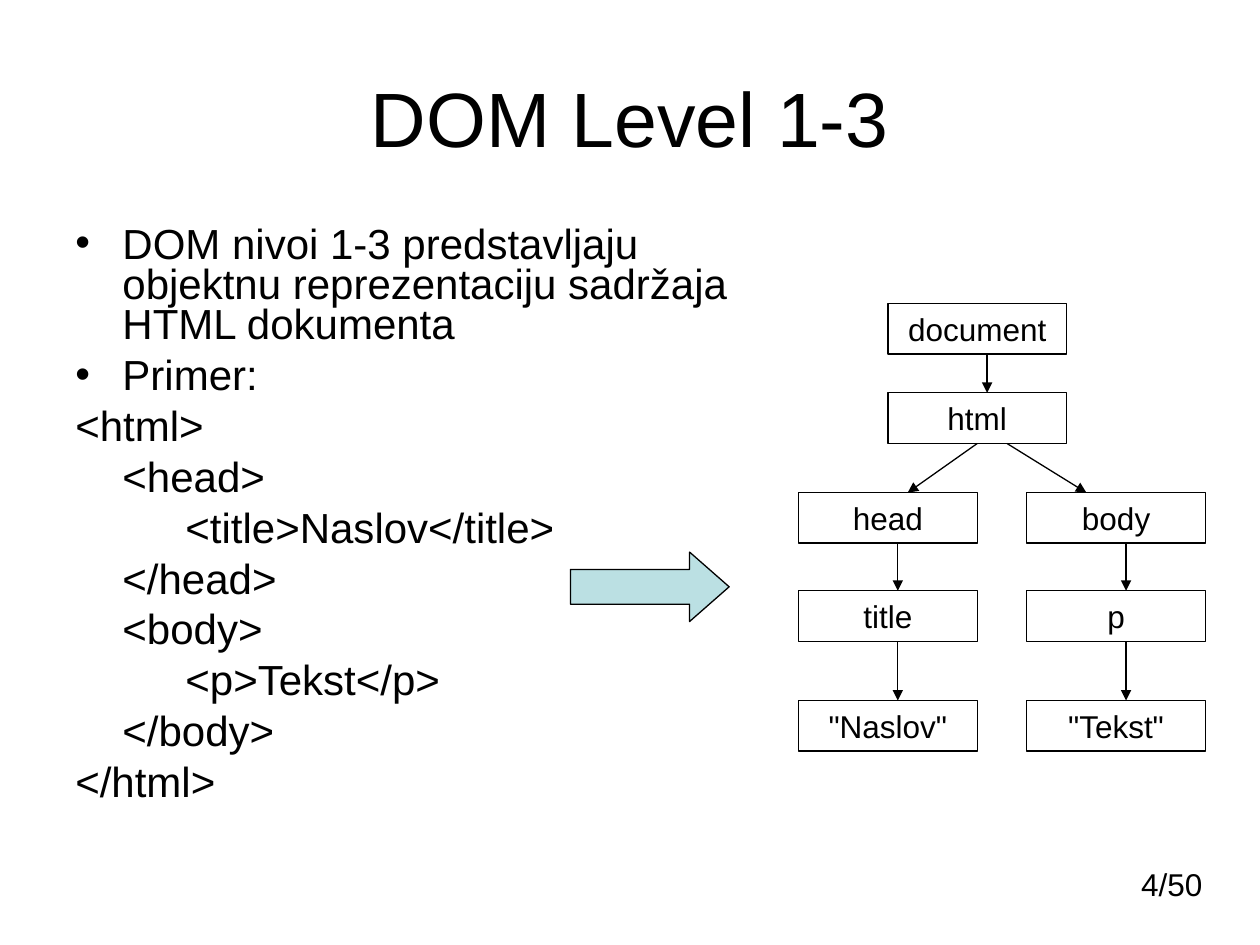
import pptx
import pptx.util
import pptx.dml.color
import pptx.enum.shapes
import pptx.enum.text
import pptx.oxml.ns
import lxml.etree

Cm, Pt = pptx.util.Cm, pptx.util.Pt
RGBColor = pptx.dml.color.RGBColor
PRESETS = pptx.enum.shapes.MSO_SHAPE
ALIGN = pptx.enum.text.PP_ALIGN
ANCHOR = pptx.enum.text.MSO_ANCHOR
GROW = pptx.enum.text.MSO_AUTO_SIZE.SHAPE_TO_FIT_TEXT

BLACK = RGBColor(0x00, 0x00, 0x00)
PALE_TEAL = RGBColor(0xBB, 0xE0, 0xE3)
FONT = "Arial"

TITLE = "DOM Level 1-3"
PAGE_NUMBER = "4/50"
BULLETS = [
    "DOM nivoi 1-3 predstavljaju objektnu reprezentaciju sadržaja HTML dokumenta",
    "Primer:",
]
CODE = [
    "<html>",
    "\t<head>",
    "\t\t<title>Naslov</title>",
    "\t</head>",
    "\t<body>",
    "\t\t<p>Tekst</p>",
    "\t</body>",
    "</html>",
]

# Tree geometry in cm
NODE_WIDTH, NODE_HEIGHT = 3.6, 1.02
LEFT, MIDDLE, RIGHT = 17.9, 19.7, 22.5  # column centres
ROW_TOPS = [6.12, 7.92, 9.93, 11.91, 14.12]
NODES = {  # label: (column centre, row)
    "document": (MIDDLE, 0),
    "html": (MIDDLE, 1),
    "head": (LEFT, 2),
    "body": (RIGHT, 2),
    "title": (LEFT, 3),
    '"Naslov"': (LEFT, 4),
    "p": (RIGHT, 3),
    '"Tekst"': (RIGHT, 4),
}
EDGES = [  # parent, child, offsets of both ends from the node centres
    ("document", "html", 0.2, 0.2),
    ("html", "head", 0, 0.4),
    ("html", "body", 0.6, -0.6),
    ("head", "title", 0.2, 0.2),
    ("body", "p", 0.2, 0.2),
    ("title", '"Naslov"', 0.2, 0.2),
    ("p", '"Tekst"', 0.2, 0.2),
]


def add_child(parent, tag, **attributes):
    return lxml.etree.SubElement(parent, pptx.oxml.ns.qn(tag), attributes)


def write(frame, lines, size, align=ALIGN.LEFT, anchor=ANCHOR.TOP):
    frame.word_wrap = True
    frame.vertical_anchor = anchor
    frame.text = "\n".join(lines)
    for paragraph in frame.paragraphs:
        paragraph.alignment = align
        for run in paragraph.runs:
            run.font.name = FONT
            run.font.size = Pt(size)
            run.font.color.rgb = BLACK


def add_text(slide, box, *text, **layout):
    frame = slide.shapes.add_textbox(*map(Cm, box)).text_frame
    write(frame, *text, **layout)
    return frame


def add_outlined(slide, preset, box):
    shape = slide.shapes.add_shape(preset, *map(Cm, box))
    shape.shadow.inherit = False
    shape.fill.background()
    shape.line.color.rgb = BLACK
    shape.line.width = Pt(0.75)
    return shape


def add_body(slide):
    frame = add_text(slide, (1.27, 4.45, 13.64, 14.27), BULLETS + CODE, 24)
    for index, paragraph in enumerate(frame.paragraphs):
        paragraph.line_spacing = 0.8
        paragraph.space_before = Pt(6)
        properties = paragraph._p.get_or_add_pPr()
        properties.set("marL", str(Cm(0.95)))
        properties.set("indent", str(-Cm(0.95)))
        if index < len(BULLETS):
            add_child(properties, "a:buFont", typeface=FONT)
            add_child(properties, "a:buChar", char="•")
        else:
            add_child(properties, "a:buNone")
            stops = add_child(properties, "a:tabLst")
            for inch in range(8):
                add_child(stops, "a:tab", pos=str(Cm(2.54 * inch)), algn="l")


def add_node(slide, label, centre, row):
    box = (centre - NODE_WIDTH / 2, ROW_TOPS[row], NODE_WIDTH, NODE_HEIGHT)
    frame = add_outlined(slide, PRESETS.RECTANGLE, box).text_frame
    write(frame, [label], 18, ALIGN.CENTER)
    frame.auto_size = GROW
    frame.paragraphs[0].space_before = Pt(11.2)


def add_edge(slide, parent, child, start_offset, end_offset):
    (start, parent_row), (end, child_row) = NODES[parent], NODES[child]
    ends = (start + start_offset, ROW_TOPS[parent_row] + NODE_HEIGHT,
            end + end_offset, ROW_TOPS[child_row])
    edge = slide.shapes.add_connector(
        pptx.enum.shapes.MSO_CONNECTOR.STRAIGHT, *map(Cm, ends))
    edge.line.color.rgb = BLACK
    edge.line.width = Pt(0.75)
    add_child(edge.line._get_or_add_ln(), "a:tailEnd", type="triangle")
    add_child(edge._element.spPr, "a:effectLst")


def main():
    deck = pptx.Presentation()
    deck.slide_width, deck.slide_height = Cm(25.4), Cm(19.05)
    slide = deck.slides.add_slide(deck.slide_layouts[6])

    page = add_text(slide, (18.9, 17.32, 5.59, 1.02), [PAGE_NUMBER], 18, align=ALIGN.RIGHT)
    page.auto_size = GROW
    add_text(slide, (1.27, 0.76, 22.86, 3.18), [TITLE], 44,
             align=ALIGN.CENTER, anchor=ANCHOR.MIDDLE)
    add_body(slide)
    for label, (centre, row) in NODES.items():
        add_node(slide, label, centre, row)
    for edge in EDGES:
        add_edge(slide, *edge)

    arrow = add_outlined(slide, PRESETS.RIGHT_ARROW, (11.5, 11.13, 3.2, 1.4))
    arrow.fill.solid()
    arrow.fill.fore_color.rgb = PALE_TEAL
    arrow.adjustments[0] = 0.5
    arrow.adjustments[1] = 0.57

    deck.save("out.pptx")


if __name__ == "__main__":
    main()
